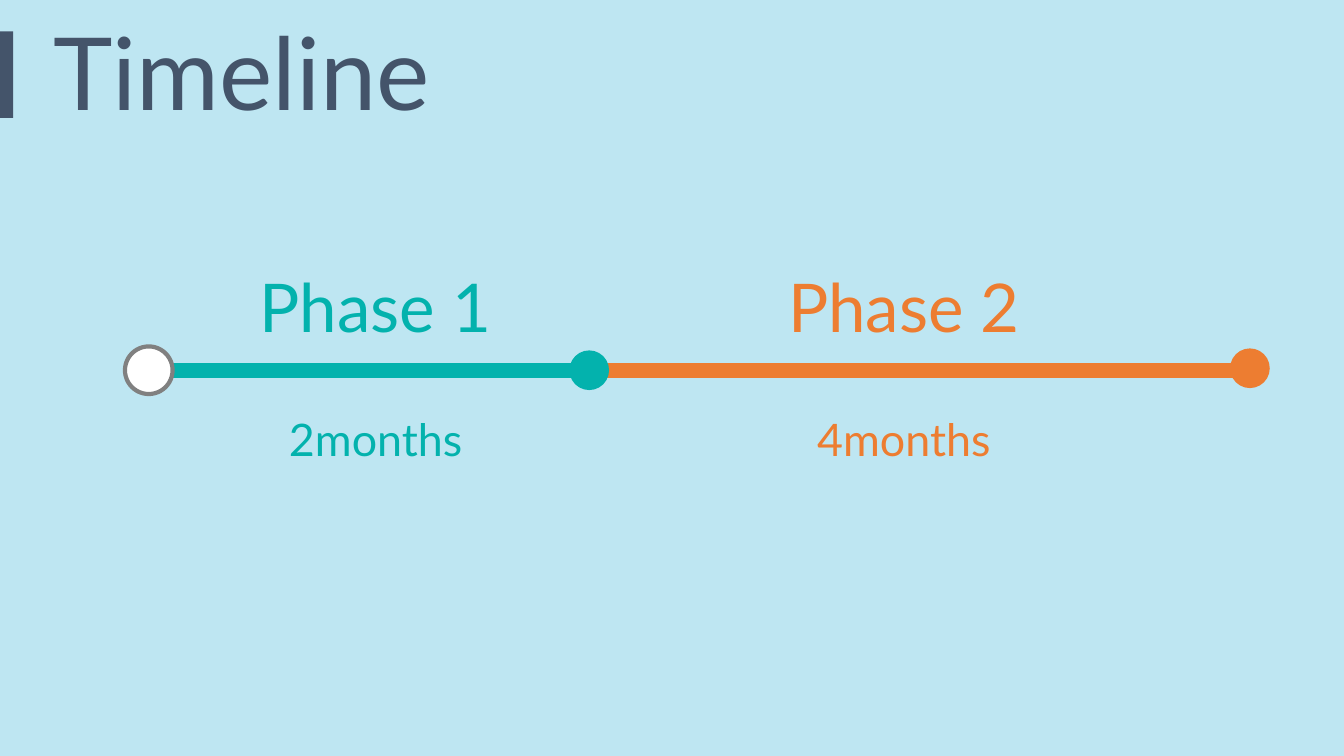
from lxml import etree
from pptx import Presentation
from pptx import util as u
from pptx.dml.color import RGBColor
from pptx.enum import shapes, text
from pptx.oxml.ns import qn

COLORS = {
    "sky": "BEE6F2",
    "slate": "44546A",
    "teal": "03B2AD",
    "orange": "ED7D31",
    "white": "FFFFFF",
    "grey": "808080",
}
FONT = "Lato"
PHASES = [
    {"name": "Phase 1", "length": "2months", "color": "teal",
     "start": 0, "end": 0.4, "label": 5.72, "lift": 0},
    {"name": "Phase 2", "length": "4months", "color": "orange",
     "start": 0.4, "end": 1, "label": 19.03, "lift": 0.05},
]


def color(name):
    return RGBColor.from_string(COLORS[name])


def add_label(page, box, words, size, tint, align, wrap=True):
    frame = page.shapes.add_textbox(*map(u.Cm, box)).text_frame
    settings = {"word_wrap": wrap, "auto_size": text.MSO_AUTO_SIZE.SHAPE_TO_FIT_TEXT}
    for name, value in settings.items():
        setattr(frame, name, value)
    para = frame.paragraphs[0]
    para.alignment = align
    span = para.add_run()
    span.text = words
    for name, value in {"name": FONT, "size": u.Pt(size)}.items():
        setattr(span.font, name, value)
    span.font.color.rgb = color(tint)


def add_filled(page, kind, box, fill, outline=None):
    shape = page.shapes.add_shape(kind, *map(u.Cm, box))
    shape.shadow.inherit = False
    shape.fill.solid()
    shape.fill.fore_color.rgb = color(fill)
    if outline:
        shape.line.color.rgb = color(outline)
        shape.line.width = u.Pt(3)
    else:
        shape.line.fill.background()


def add_dot(page, x, y, size, fill, outline=None):
    box = (x - size / 2, y - size / 2, size, size)
    add_filled(page, shapes.MSO_SHAPE.OVAL, box, fill, outline)


def add_rail(page, start, end, y, tint):
    rail = page.shapes.add_connector(
        shapes.MSO_CONNECTOR.STRAIGHT, u.Cm(start), u.Cm(y), u.Cm(end), u.Cm(y))
    rail.line.color.rgb = color(tint)
    rail.line.width = u.Pt(10.75)
    properties = rail._element.find(qn("p:spPr"))
    etree.SubElement(properties, qn("a:effectLst"))


def add_heading(page, box):
    left, top, width, height = box
    add_filled(page, shapes.MSO_SHAPE.RECTANGLE, (left, top + 0.66, 0.33, 2.18), "slate")
    add_label(page, (left + 1.09, top, width - 1.09, height),
              "Timeline", 72, "slate", text.PP_ALIGN.LEFT)


def add_timeline(page, box):
    left, top, width, height = box
    rail_y = top + 2.78
    for phase in reversed(PHASES):
        add_rail(page, left + width * phase["start"], left + width * phase["end"],
                 rail_y, phase["color"])
    add_dot(page, left, rail_y, 1.2, "white", "grey")
    for phase in PHASES:
        tint = phase["color"]
        middle = left + phase["label"]
        add_dot(page, left + width * phase["end"], rail_y - phase["lift"], 1, tint)
        add_label(page, (middle - 3.43, top, 6.86, 2.31),
                  phase["name"], 48, tint, text.PP_ALIGN.CENTER)
        add_label(page, (middle - 2.48, top + height - 1.63, 4.96, 1.63),
                  phase["length"], 32, tint, text.PP_ALIGN.CENTER, wrap=False)


def main():
    deck = Presentation()
    deck.slide_width, deck.slide_height = u.Cm(33.87), u.Cm(19.05)
    page = deck.slides.add_slide(deck.slide_layouts[6])
    page.background.fill.solid()
    page.background.fill.fore_color.rgb = color("sky")
    add_timeline(page, (3.75, 6.55, 27.75, 5.32))
    add_heading(page, (0, 0.13, 17.8, 3.33))
    deck.save("out.pptx")


if __name__ == "__main__":
    main()
